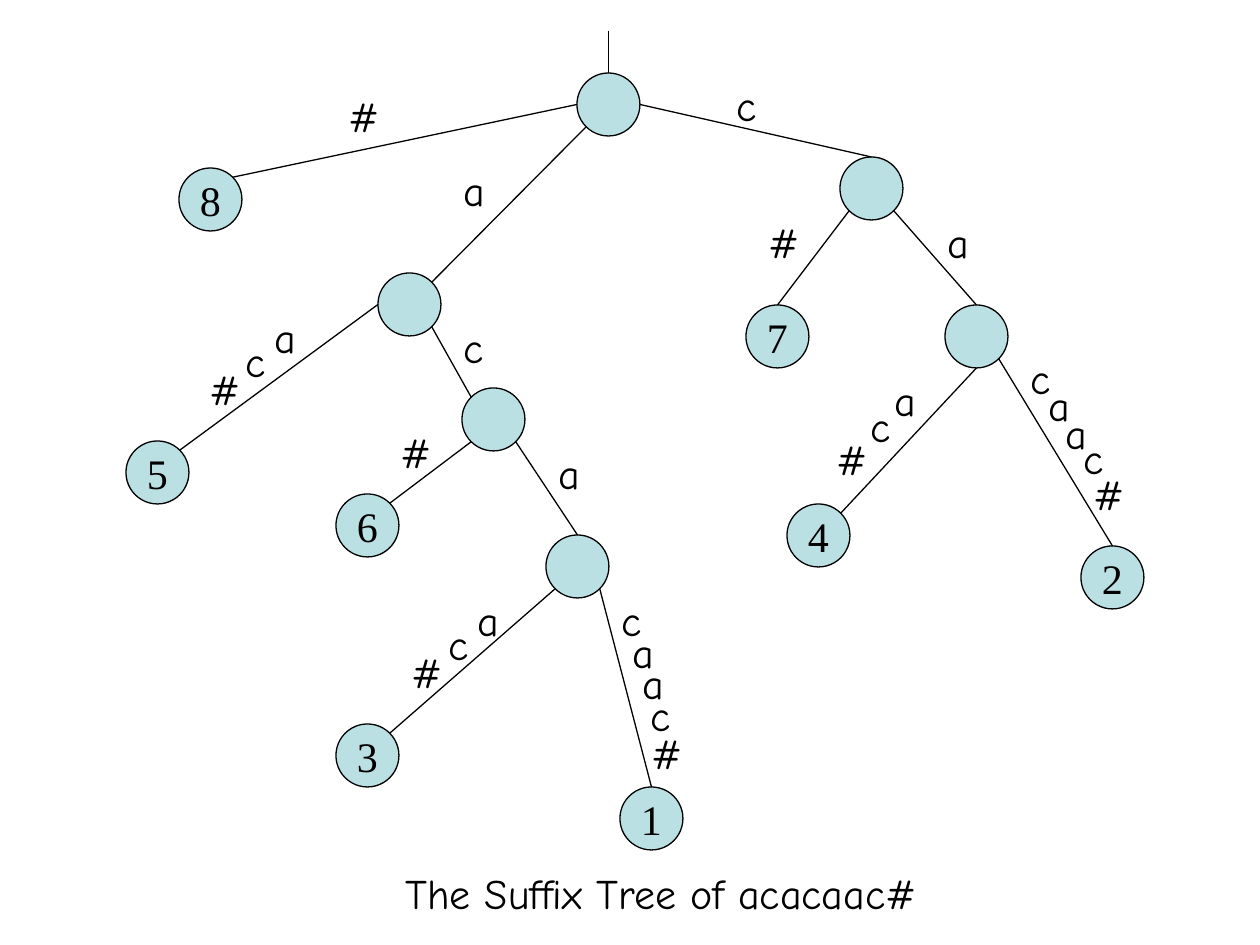
from lxml.etree import SubElement
from pptx import Presentation
from pptx.dml.color import RGBColor
from pptx.enum.shapes import MSO_CONNECTOR, MSO_SHAPE
from pptx.enum.text import MSO_ANCHOR, MSO_AUTO_SIZE, PP_ALIGN
from pptx.oxml.ns import qn
from pptx.util import Pt

EMU_PER_PX = 914400 // 126
BOX = 63
BLACK, NODE_FILL = "000000", "BBE0E3"
LABEL_FONT, NUMBER_FONT = "Comic Neue", "Times New Roman"
CAPTION = "The Suffix Tree of acacaac#"
CAPTION_BOX = (136, 861, 1050, BOX)

NODES = {
    "root": (577, 73, ""),
    "leaf 8": (179, 168, "8"),
    "a": (378, 273, ""),
    "leaf 5": (126, 441, "5"),
    "ac": (462, 388, ""),
    "leaf 6": (336, 494, "6"),
    "aca": (546, 535, ""),
    "leaf 3": (336, 724, "3"),
    "leaf 1": (620, 787, "1"),
    "c": (840, 157, ""),
    "leaf 7": (746, 305, "7"),
    "ca": (945, 305, ""),
    "leaf 4": (787, 504, "4"),
    "leaf 2": (1081, 546, "2"),
}

EDGES = [
    ("root", "left", "leaf 8", "top right", "#", [(336, 84)]),
    ("root", "bottom left", "a", "top right", "a", [(451, 158)]),
    ("root", "right", "c", "top", "c", [(724, 73)]),
    ("c", "bottom left", "leaf 7", "top", "#", [(756, 210)]),
    ("c", "bottom right", "ca", "top", "a", [(935, 210)]),
    ("ca", "bottom", "leaf 4", "top right", "ac#", [(882, 368), (858, 394), (824, 427)]),
    ("ca", "bottom right", "leaf 2", "top", "caac#",
     [(1018, 346), (1036, 373), (1053, 401), (1071, 426), (1081, 462)]),
    ("a", "left", "leaf 5", "top right", "ac#", [(262, 305), (233, 329), (197, 357)]),
    ("a", "bottom right", "ac", "top left", "c", [(451, 315)]),
    ("ac", "bottom left", "leaf 6", "top right", "#", [(388, 420)]),
    ("ac", "bottom right", "aca", "top", "a", [(546, 441)]),
    ("aca", "bottom left", "leaf 3", "top right", "ac#", [(465, 588), (436, 612), (399, 640)]),
    ("aca", "bottom right", "leaf 1", "top", "caac#",
     [(609, 588), (620, 620), (630, 651), (638, 683), (639, 721)]),
]

STEPS = {"left": (-1, 0), "right": (1, 0), "top": (0, -1), "bottom": (0, 1)}


def px(value):
    return round(value * EMU_PER_PX)


def color(hex_string):
    return RGBColor.from_string(hex_string)


def set_line(line):
    line.color.rgb = color(BLACK)
    line.width = Pt(0.75)


def write(text_frame, text, font_name, alignment, space_before=15):
    paragraph = text_frame.paragraphs[0]
    paragraph.alignment = alignment
    paragraph.space_before = Pt(space_before)
    run = paragraph.add_run()
    run.text = text
    run.font.name = font_name
    run.font.size = Pt(24)
    run.font.color.rgb = color(BLACK)


def site(node, side):
    left, top, _ = NODES[node]
    steps = [STEPS[word] for word in side.split()]
    reach = BOX / 2 / len(steps) ** 0.5
    return (left + BOX / 2 + reach * sum(step[0] for step in steps),
            top + BOX / 2 + reach * sum(step[1] for step in steps))


def add_line(slide, start, end):
    connector = slide.shapes.add_connector(
        MSO_CONNECTOR.STRAIGHT, *map(px, (*start, *end)))
    set_line(connector.line)
    SubElement(connector._element.spPr, qn("a:effectLst"))


def add_node(slide, left, top, number):
    shape = slide.shapes.add_shape(MSO_SHAPE.OVAL, *map(px, (left, top, BOX, BOX)))
    shape.shadow.inherit = False
    shape.fill.solid()
    shape.fill.fore_color.rgb = color(NODE_FILL)
    set_line(shape.line)
    if number:
        frame = shape.text_frame
        frame.margin_left = frame.margin_right = frame.margin_top = frame.margin_bottom = 0
        frame.vertical_anchor = MSO_ANCHOR.MIDDLE
        write(frame, number, NUMBER_FONT, PP_ALIGN.CENTER, 0)


def add_letter(slide, letter, left, top):
    shape = slide.shapes.add_textbox(*map(px, (left, top, BOX, BOX)))
    shape.text_frame.word_wrap = True
    shape.text_frame.auto_size = MSO_AUTO_SIZE.SHAPE_TO_FIT_TEXT
    write(shape.text_frame, letter, LABEL_FONT, PP_ALIGN.LEFT)


def add_caption(slide):
    title = slide.shapes.title
    title.left, title.top, title.width, title.height = map(px, CAPTION_BOX)
    title.text_frame.word_wrap = True
    title.text_frame.auto_size = MSO_AUTO_SIZE.NONE
    title.text_frame.vertical_anchor = MSO_ANCHOR.TOP
    write(title.text_frame, CAPTION, LABEL_FONT, PP_ALIGN.CENTER)


def main():
    """Build the suffix tree slide and save it."""
    presentation = Presentation()
    presentation.slide_width, presentation.slide_height = px(1260), px(945)
    slide = presentation.slides.add_slide(presentation.slide_layouts[5])
    add_caption(slide)
    for node in NODES.values():
        add_node(slide, *node)
    root_x, root_y = site("root", "top")
    add_line(slide, (root_x, root_y - 42), (root_x, root_y))
    for parent, parent_side, child, child_side, label, places in EDGES:
        add_line(slide, site(parent, parent_side), site(child, child_side))
        for letter, (left, top) in zip(label, places):
            add_letter(slide, letter, left, top)
    presentation.save("out.pptx")


if __name__ == "__main__":
    main()
